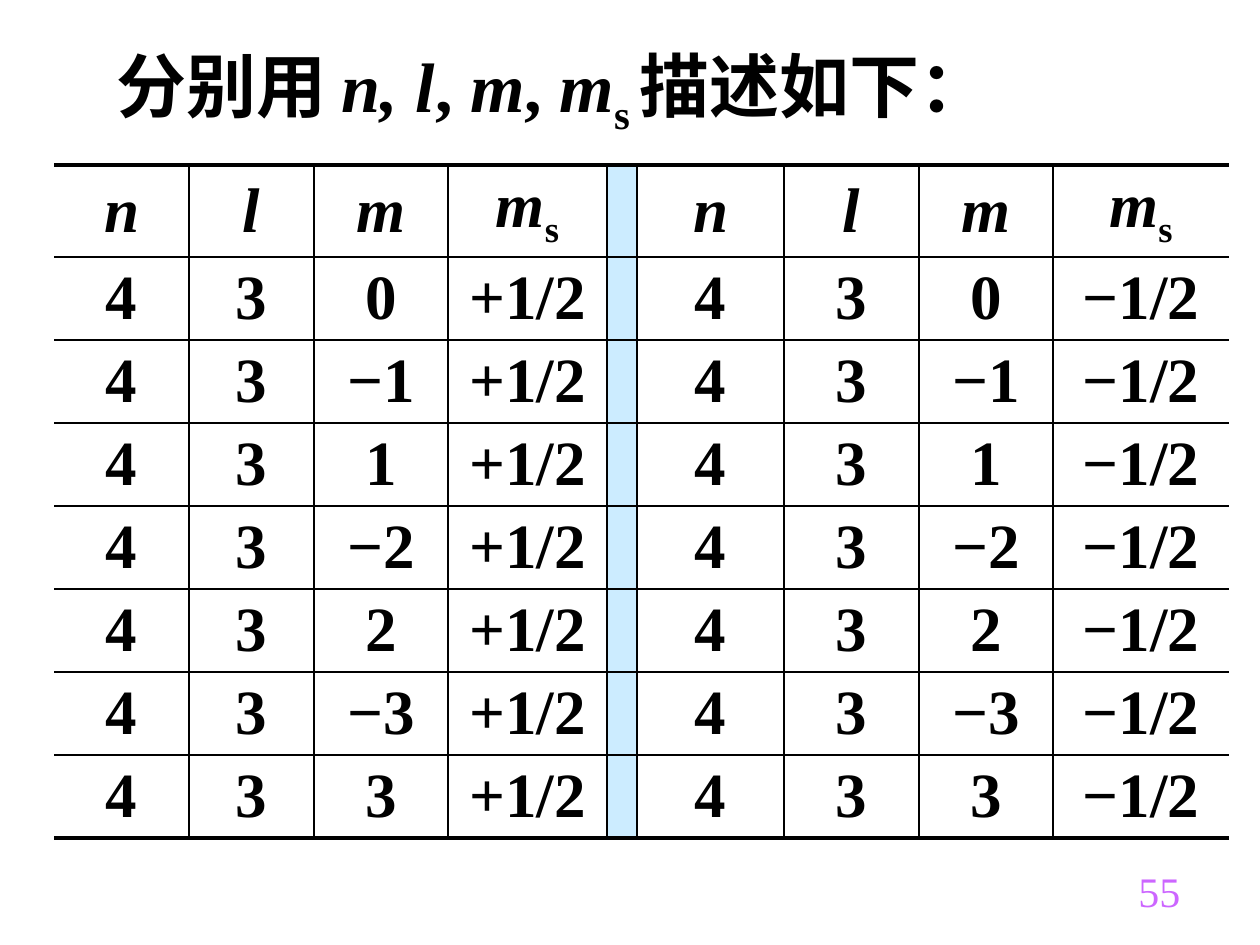
import pptx
import pptx.dml.color
import pptx.enum.text
import pptx.oxml
import pptx.oxml.ns
import pptx.util

PX = 914400 // 126
FONT = "Times New Roman"
COLORS = {"text": "000000", "rule": "000000", "divider": "CCECFF", "number": "CC66FF"}


def style_paragraph(paragraph, size, color, bold):
    paragraph.font.name = FONT
    paragraph.font.size = pptx.util.Pt(size)
    paragraph.font.bold = bold
    paragraph.font.color.rgb = pptx.dml.color.RGBColor.from_string(COLORS[color])


def add_runs(paragraph, runs):
    """Add (text, style) runs; the style is "", "italic" or "subscript"."""
    for text, style in runs:
        run = paragraph.add_run()
        run.text = text
        if style == "italic":
            run.font.italic = True
        elif style == "subscript":
            run.font._element.set("baseline", "-25000")


presentation = pptx.Presentation()
presentation.slide_width = 1260 * PX
presentation.slide_height = 945 * PX
slide = presentation.slides.add_slide(presentation.slide_layouts[6])

# Heading
heading = slide.shapes.add_textbox(104 * PX, 36 * PX, 1071 * PX, 100 * PX)
heading.text_frame.word_wrap = True
paragraph = heading.text_frame.paragraphs[0]
properties = paragraph._p.get_or_add_pPr()
properties.set("marL", str(48 * PX))
properties.set("indent", str(-48 * PX))
style_paragraph(paragraph, 40, "text", True)
add_runs(paragraph, [
    ("分别用 ", ""), ("n, l", "italic"), (", ", ""), ("m", "italic"), (", ", ""),
    ("m", "italic"), ("s ", "subscript"), ("描述如下：", ""),
])

# Table content: spin up on the left, spin down on the right, a divider between
header = [[("n", "italic")], [("l", "italic")], [("m", "italic")],
          [("m", "italic"), ("s", "subscript")]]
rows = [header + [[]] + header]
for magnetic in ["0", "−1", "1", "−2", "2", "−3", "3"]:
    values = ["4", "3", magnetic, "+1/2", "", "4", "3", magnetic, "−1/2"]
    rows.append([[(value, "")] if value else [] for value in values])

# Table grid
column_widths = [135, 125, 134, 159, 30, 147, 135, 134, 176]
header_height, row_height = 92, 83
row_heights = [header_height] + [row_height] * (len(rows) - 1)
table_shape = slide.shapes.add_table(
    len(rows), len(column_widths), 54 * PX, 165 * PX,
    sum(column_widths) * PX, sum(row_heights) * PX)
table = table_shape.table
table.first_row = False
table.horz_banding = False
style_id = table._tbl.tblPr.find(pptx.oxml.ns.qn("a:tableStyleId"))
style_id.text = "{2D5ABB26-0587-4C30-8999-92F81FD0307C}"
for column, width in zip(table.columns, column_widths):
    column.width = width * PX
for row, height in zip(table.rows, row_heights):
    row.height = height * PX

# Cells: open at the outer sides, heavy rules at top and bottom
last_row, last_column = len(rows) - 1, len(column_widths) - 1
for row_index, row in enumerate(rows):
    for column_index, runs in enumerate(row):
        cell = table.cell(row_index, column_index)
        cell.vertical_anchor = pptx.enum.text.MSO_ANCHOR.MIDDLE
        cell.margin_top = cell.margin_bottom = 3 * PX
        borders = {
            "lnL": 1 if column_index > 0 else 0,
            "lnR": 1 if column_index < last_column else 0,
            "lnT": 2.25 if row_index == 0 else 1,
            "lnB": 2.25 if row_index == last_row else 1,
        }
        for side, points in borders.items():
            if points:
                cell._tc.get_or_add_tcPr().append(pptx.oxml.parse_xml(
                    f'<a:{side} {pptx.oxml.ns.nsdecls("a")} w="{int(points * 12700)}">'
                    f'<a:solidFill><a:srgbClr val="{COLORS["rule"]}"/></a:solidFill>'
                    f'</a:{side}>'))
        if runs:
            cell.fill.background()
            paragraph = cell.text_frame.paragraphs[0]
            paragraph.alignment = pptx.enum.text.PP_ALIGN.CENTER
            style_paragraph(paragraph, 36, "text", True)
            add_runs(paragraph, runs)
        else:
            cell.fill.solid()
            cell.fill.fore_color.rgb = pptx.dml.color.RGBColor.from_string(COLORS["divider"])

# Page number
number = slide.shapes.add_textbox(1126 * PX, 859 * PX, 116 * PX, 63 * PX)
number.text_frame.word_wrap = True
paragraph = number.text_frame.paragraphs[0]
style_paragraph(paragraph, 24, "number", False)
add_runs(paragraph, [("55", "")])

presentation.save("out.pptx")
